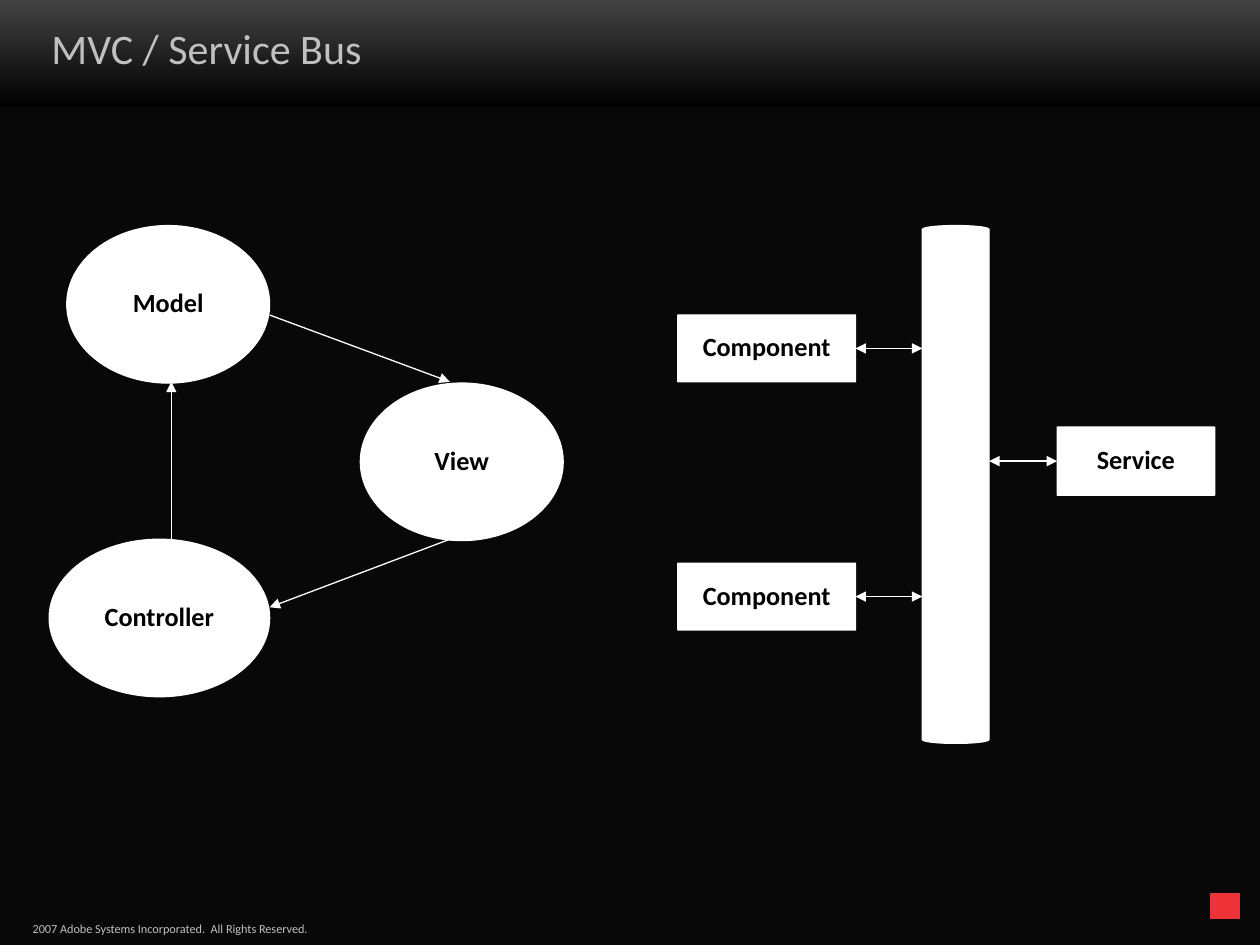
from dataclasses import dataclass

from lxml.etree import SubElement
from pptx import Presentation
from pptx.dml.color import RGBColor
from pptx.enum.shapes import MSO_CONNECTOR as Link, MSO_SHAPE as Kind
from pptx.enum.text import MSO_ANCHOR as Anchor, PP_ALIGN as Align
from pptx.oxml.ns import qn
from pptx.shapes.autoshape import Shape
from pptx.shapes.connector import Connector
from pptx.slide import Slide
from pptx.util import Inches, Pt

HUES = {
    "back": "080808",
    "top": "434343",
    "black": "000000",
    "white": "FFFFFF",
    "grey": "C0C0C0",
    "red": "EE3338",
}
FONT = "Calibri"


@dataclass
class Node:
    """A white shape with an optional label."""

    kind: Kind
    left: float
    top: float
    width: float
    height: float
    label: str = ""
    adj: float | None = None


@dataclass
class Arrow:
    """A line with an arrowhead at its end."""

    x1: float
    y1: float
    x2: float
    y2: float


BUS = Node(Kind.CAN, 7.32, 1.79, 0.53, 4.11, adj=0.115)
ROUNDS = [
    Node(Kind.OVAL, 0.53, 1.79, 1.61, 1.25, "Model"),
    Node(Kind.OVAL, 0.39, 4.28, 1.75, 1.25, "Controller"),
    Node(Kind.OVAL, 2.86, 3.04, 1.61, 1.25, "View"),
]
FLOWS = [
    Arrow(2.14, 2.5, 3.57, 3.03),
    Arrow(3.57, 4.28, 2.14, 4.82),
    Arrow(1.36, 4.29, 1.36, 3.03),
]
PARTS = [
    Node(Kind.ROUNDED_RECTANGLE, 5.38, 2.5, 1.41, 0.53, "Component", 0.003),
    Node(Kind.ROUNDED_RECTANGLE, 8.39, 3.39, 1.25, 0.54, "Service", 0.003),
    Node(Kind.ROUNDED_RECTANGLE, 5.38, 4.47, 1.41, 0.53, "Component", 0.003),
]


def hue(name: str) -> RGBColor:
    """Return the named colour."""
    return RGBColor.from_string(HUES[name])


def add_shape(slide: Slide, node: Node, color: str = "white") -> Shape:
    """Draw a filled shape with its label."""
    shape = slide.shapes.add_shape(
        node.kind, *map(Inches, (node.left, node.top, node.width, node.height))
    )
    shape.shadow.inherit = False
    shape.fill.solid()
    shape.fill.fore_color.rgb = hue(color)
    shape.line.color.rgb = hue(color)
    shape.line.width = Pt(0.75)
    if node.adj is not None:
        shape.adjustments[0] = node.adj
    if node.label:
        frame = shape.text_frame
        frame.margin_left = frame.margin_right = Inches(0.09)
        frame.margin_top = frame.margin_bottom = Inches(0.04)
        frame.vertical_anchor = Anchor.MIDDLE
        para = frame.paragraphs[0]
        para.text = node.label
        para.alignment = Align.CENTER
        para.line_spacing = 0.9
        para.font.name, para.font.size, para.font.bold = FONT, Pt(15), True
        para.font.color.rgb = hue("black")
    return shape


def add_arrow(slide: Slide, arrow: Arrow, both: bool = False) -> Connector:
    """Draw a straight arrow with one or two heads."""
    line = slide.shapes.add_connector(
        Link.STRAIGHT, *map(Inches, (arrow.x1, arrow.y1, arrow.x2, arrow.y2))
    )
    line.line.color.rgb = hue("white")
    line.line.width = Pt(0.75)
    stroke = line.line._get_or_add_ln()
    for tag in ("a:headEnd", "a:tailEnd") if both else ("a:tailEnd",):
        SubElement(stroke, qn(tag), type="triangle")
    SubElement(line._element.spPr, qn("a:effectLst"))
    return line


def add_part(slide: Slide, part: Node) -> None:
    """Draw a box and join it to the bus."""
    box = add_shape(slide, part)
    mid = part.top + part.height / 2
    if part.left < BUS.left:
        line = add_arrow(slide, Arrow(part.left + part.width, mid, BUS.left, mid), True)
        line.begin_connect(box, 3)
    else:
        line = add_arrow(slide, Arrow(BUS.left + BUS.width, mid, part.left, mid), True)
        line.end_connect(box, 1)


def add_text(slide: Slide, area: tuple, text: str, size: int, inset: float) -> Shape:
    """Place one line of grey text."""
    box = slide.shapes.add_textbox(*map(Inches, area))
    frame = box.text_frame
    frame.word_wrap = True
    frame.margin_left = frame.margin_right = Inches(inset)
    frame.margin_top = frame.margin_bottom = Inches(inset / 2)
    frame.vertical_anchor = Anchor.MIDDLE
    para = frame.paragraphs[0]
    para.text = text
    para.font.name, para.font.size = FONT, Pt(size)
    para.font.color.rgb = hue("grey")
    return box


def add_band(slide: Slide) -> None:
    """Draw the shaded band along the top."""
    band = add_shape(slide, Node(Kind.RECTANGLE, 0, 0, 10, 0.85))
    band.line.fill.background()
    band.fill.gradient()
    band.fill.gradient_angle = 270
    for stop, name, spot in zip(band.fill.gradient_stops, ("top", "black"), (0, 1)):
        stop.color.rgb = hue(name)
        stop.position = spot


def main() -> None:
    """Build and save the slide."""
    deck = Presentation()
    deck.slide_width, deck.slide_height = Inches(10), Inches(7.5)
    slide = deck.slides.add_slide(deck.slide_layouts[6])
    slide.background.fill.solid()
    slide.background.fill.fore_color.rgb = hue("back")

    add_band(slide)
    add_shape(slide, Node(Kind.RECTANGLE, 9.61, 7.09, 0.23, 0.2), "red")
    note = "2007 Adobe Systems Incorporated.  All Rights Reserved."
    foot = add_text(slide, (0.26, 7.31, 2.56, 0.12), note, 7, 0)
    foot.text_frame.word_wrap = False
    foot.text_frame.vertical_anchor = Anchor.BOTTOM

    for node in ROUNDS:
        add_shape(slide, node)
    for flow in FLOWS:
        add_arrow(slide, flow)
    add_shape(slide, BUS)
    for part in PARTS:
        add_part(slide, part)

    title = add_text(slide, (0.31, 0.19, 9.37, 0.44), "MVC / Service Bus", 24, 0.1)
    title.text_frame.paragraphs[0].line_spacing = 0.85
    deck.save("out.pptx")


if __name__ == "__main__":
    main()
